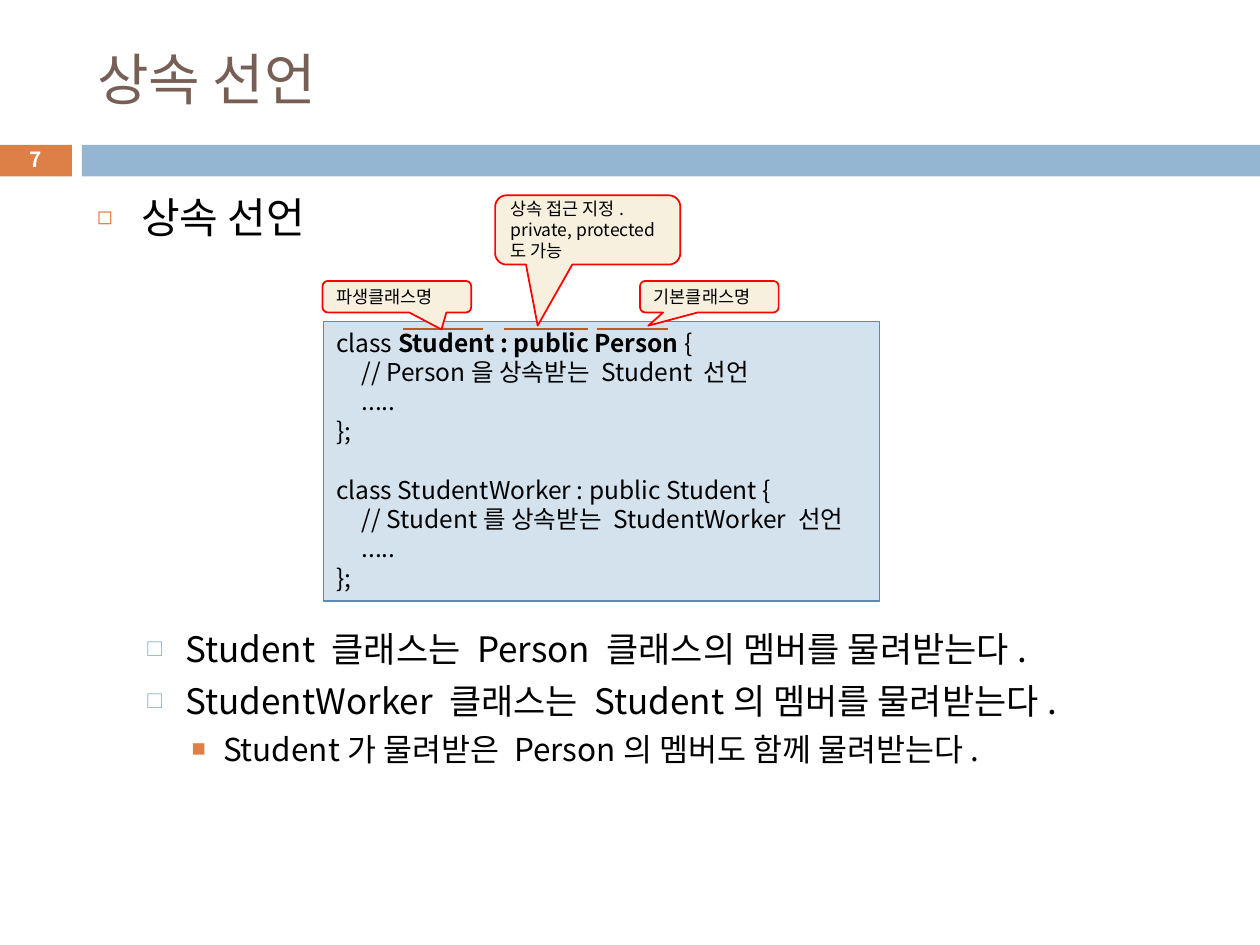
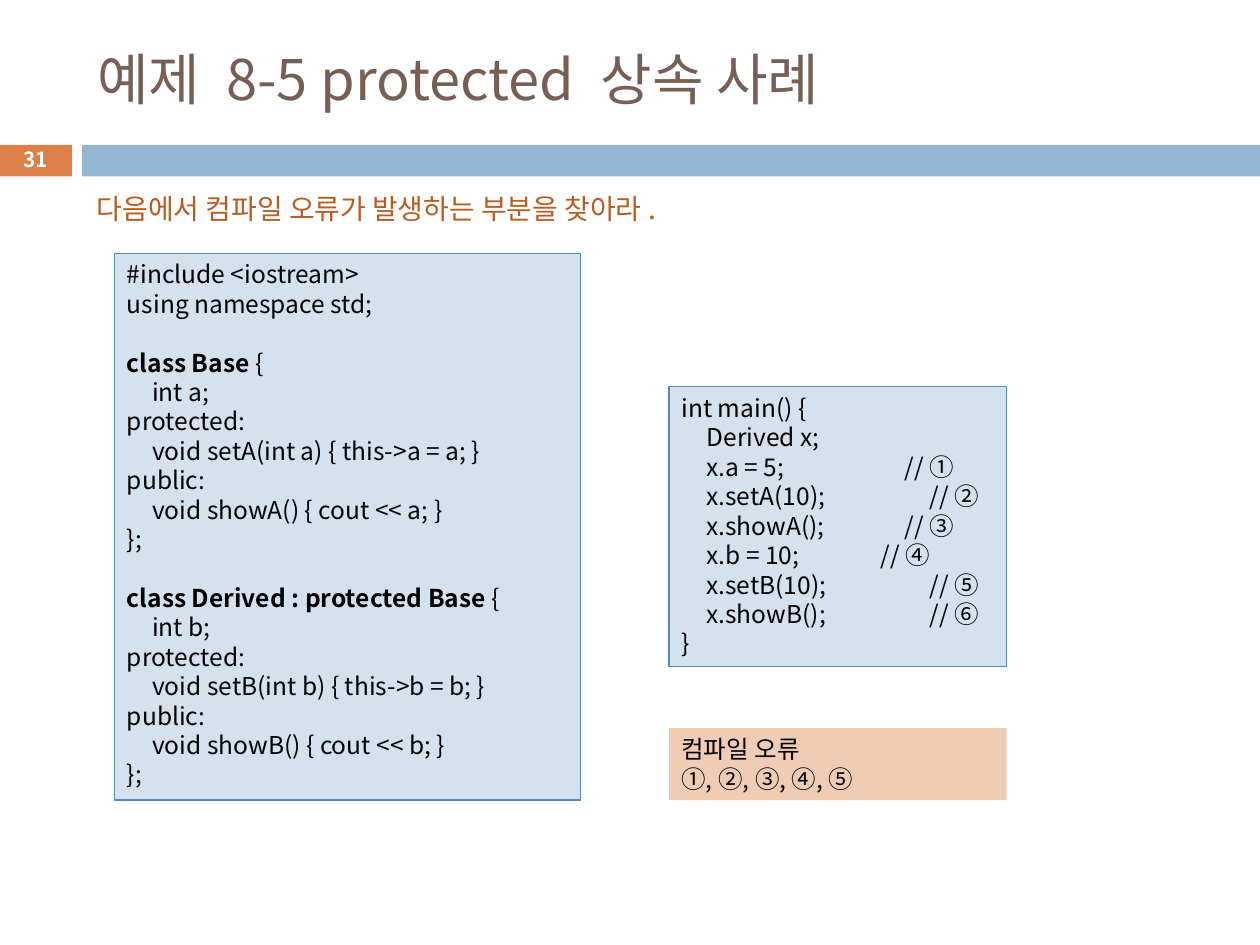
"""Build two C++ inheritance lecture slides."""
from lxml import etree
from pptx import Presentation
from pptx.dml.color import RGBColor
from pptx.enum import shapes, text
from pptx.oxml import ns
from pptx.util import Inches, Pt

FONT = "Noto Sans CJK KR"
ORANGE = RGBColor(0xDD, 0x80, 0x47)
BLUE = RGBColor(0x94, 0xB6, 0xD2)
BROWN = RGBColor(0x77, 0x5F, 0x55)
RUST = RGBColor(0xB9, 0x5B, 0x22)
CODE_FILL = RGBColor(0xD4, 0xE2, 0xED)
CODE_LINE = RGBColor(0x55, 0x8B, 0xB8)
CALLOUT_FILL = RGBColor(0xF7, 0xF0, 0xDE)
ANSWER_FILL = RGBColor(0xF1, 0xCC, 0xB5)
RED = RGBColor(0xFF, 0x00, 0x00)
WHITE = RGBColor(0xFF, 0xFF, 0xFF)
BLACK = RGBColor(0x00, 0x00, 0x00)

LEADING = 1.2
CODE_SIZE = 14
CODE_INDENT = 0.2
BULLETS = [
    {"size": 24, "left": 0.35, "hang": 0.35, "before": 7,
     "mark": "◻", "color": ORANGE, "percent": 60},
    {"size": 20, "left": 0.7, "hang": 0.3, "before": 5.5,
     "mark": "□", "color": BLUE, "percent": 70},
    {"size": 18, "left": 1, "hang": 0.25, "before": 5,
     "mark": "■", "color": ORANGE, "percent": 75},
]

INHERITANCE_CODE = [
    "class |Student : public Person |{",
    "\t// Person을 상속받는 Student 선언",
    "\t.....",
    "};",
    "",
    "class StudentWorker : public Student {",
    "\t// Student를 상속받는 StudentWorker 선언",
    "\t.....",
    "};",
]
CLASSES_CODE = [
    "#include <iostream>",
    "using namespace std;",
    "",
    "|class Base |{",
    "\tint a;",
    "protected:",
    "\tvoid setA(int a) { this->a = a; }",
    "public:",
    "\tvoid showA() { cout << a; }",
    "};",
    "",
    "|class Derived : protected Base |{",
    "\tint b;",
    "protected:",
    "\tvoid setB(int b) { this->b = b; }",
    "public:",
    "\tvoid showB() { cout << b; }",
    "};",
]
MAIN_CODE = [
    "int main() {",
    "\tDerived x;",
    "\tx.a = 5;\t// ①",
    "\tx.setA(10);\t// ②",
    "\tx.showA();\t// ③",
    "\tx.b = 10;\t// ④",
    "\tx.setB(10);\t// ⑤",
    "\tx.showB();\t// ⑥",
    "}",
]
COMMENT_STOPS = {2: 1.77, 3: 1.97, 4: 1.77, 5: 1.58, 6: 1.97, 7: 1.97}


def place(item, left, top, width, height):
    """Move and size a placeholder."""
    item.left, item.top = Inches(left), Inches(top)
    item.width, item.height = Inches(width), Inches(height)


def add_run(paragraph, words, size, color=BLACK, bold=False):
    """Append one run in the deck font."""
    run = paragraph.add_run()
    run.text = words
    run.font.size = Pt(size)
    run.font.bold = bold
    run.font.color.rgb = color
    run.font.name = FONT
    etree.SubElement(run.font._element, ns.qn("a:ea"), typeface=FONT)


def add_paragraph(frame, size, before=0, align=text.PP_ALIGN.LEFT):
    """Return the next free paragraph with the deck's line spacing."""
    paragraph = frame.paragraphs[0]
    if paragraph.runs:
        paragraph = frame.add_paragraph()
    paragraph.alignment = align
    paragraph.line_spacing = Pt(size * LEADING)
    paragraph.space_before = Pt(before)
    return paragraph


def set_frame(frame, anchor=text.MSO_ANCHOR.TOP, wrap=True):
    """Fix anchoring and wrapping of a text frame."""
    frame.auto_size = text.MSO_AUTO_SIZE.NONE
    frame.vertical_anchor = anchor
    frame.word_wrap = wrap
    return frame


def add_panel(slide, box, fill, line=None, weight=0.75,
              kind=shapes.MSO_SHAPE.RECTANGLE):
    """Add a flat filled shape."""
    panel = slide.shapes.add_shape(kind, *map(Inches, box))
    panel.shadow.inherit = False
    panel.fill.solid()
    panel.fill.fore_color.rgb = fill
    if line is None:
        panel.line.fill.background()
    else:
        panel.line.color.rgb = line
        panel.line.width = Pt(weight)
    return panel


def add_label(slide, box, words, size, color, wrap=True, bold=False,
              align=text.PP_ALIGN.LEFT, anchor=text.MSO_ANCHOR.TOP):
    """Add a one-paragraph text box."""
    label = slide.shapes.add_textbox(*map(Inches, box))
    frame = set_frame(label.text_frame, anchor, wrap)
    add_run(add_paragraph(frame, size, align=align), words, size, color, bold)


def add_tab_stops(paragraph, stops):
    """Set left tab stops, given in inches."""
    tabs = etree.SubElement(paragraph._p.get_or_add_pPr(), ns.qn("a:tabLst"))
    for stop in stops:
        etree.SubElement(tabs, ns.qn("a:tab"), pos=str(Inches(stop)), algn="l")


def add_code(slide, box, lines, comment_stops=None):
    """Add a code panel; bars toggle bold, an empty line becomes a gap."""
    comment_stops = comment_stops or {}
    panel = add_panel(slide, box, CODE_FILL, CODE_LINE)
    frame = set_frame(panel.text_frame)
    gap = 0
    for index, line in enumerate(lines):
        if not line:
            gap = CODE_SIZE * LEADING
            continue
        paragraph = add_paragraph(frame, CODE_SIZE, gap)
        gap = 0
        stops = [CODE_INDENT]
        if index in comment_stops:
            stops.append(comment_stops[index])
        add_tab_stops(paragraph, stops)
        for part, words in enumerate(line.split("|")):
            if words:
                add_run(paragraph, words, CODE_SIZE, bold=part % 2 == 1)


def add_callout(slide, box, pointer, lines):
    """Add a rounded callout whose tip is set by two adjustments."""
    callout = add_panel(slide, box, CALLOUT_FILL, RED, 1,
                        shapes.MSO_SHAPE.ROUNDED_RECTANGULAR_CALLOUT)
    for index, value in enumerate(pointer):
        callout.adjustments[index] = value
    frame = set_frame(callout.text_frame, text.MSO_ANCHOR.MIDDLE)
    for line in lines:
        add_run(add_paragraph(frame, 10), line, 10)


def add_marker(slide, start, end, top):
    """Add a horizontal marker line above a code word."""
    marker = slide.shapes.add_connector(
        shapes.MSO_CONNECTOR.STRAIGHT,
        Inches(start), Inches(top), Inches(end), Inches(top))
    marker.line.color.rgb = RUST
    marker.line.width = Pt(1.5)
    etree.SubElement(marker._element.spPr, ns.qn("a:effectLst"))


def add_bullet(frame, level, words, gap=0):
    """Add one list item, with an optional extra gap before it."""
    style = BULLETS[level]
    paragraph = add_paragraph(frame, style["size"], style["before"] + gap)
    paragraph.level = level
    props = paragraph._p.get_or_add_pPr()
    props.set("marL", str(Inches(style["left"])))
    props.set("indent", str(-Inches(style["hang"])))
    color = etree.SubElement(props, ns.qn("a:buClr"))
    etree.SubElement(color, ns.qn("a:srgbClr"), val=str(style["color"]))
    etree.SubElement(props, ns.qn("a:buSzPct"), val=str(style["percent"] * 1000))
    etree.SubElement(props, ns.qn("a:buChar"), char=style["mark"])
    add_run(paragraph, words, style["size"])


def add_slide(deck, layout, heading, number):
    """Add a slide with its title, bands and page number."""
    slide = deck.slides.add_slide(deck.slide_layouts[layout])
    add_panel(slide, (-0.01, 1.15, 0.58, 0.25), ORANGE)
    add_panel(slide, (0.65, 1.15, 9.35, 0.25), BLUE)
    title = slide.shapes.title
    place(title, 0.67, 0.25, 8.92, 0.74)
    frame = set_frame(title.text_frame, text.MSO_ANCHOR.MIDDLE)
    add_run(add_paragraph(frame, 32), heading, 32, BROWN)
    add_label(slide, (-0.01, 1.13, 0.58, 0.27), number, 11.9, WHITE, bold=True,
              align=text.PP_ALIGN.CENTER, anchor=text.MSO_ANCHOR.MIDDLE)
    return slide


def build_declaration(deck):
    """Build the slide on declaring inheritance."""
    slide = add_slide(deck, 1, "상속 선언", "7")
    body = slide.placeholders[1]
    place(body, 0.67, 1.47, 8.92, 5.43)
    frame = set_frame(body.text_frame)
    add_bullet(frame, 0, "상속 선언")
    add_bullet(frame, 1, "Student 클래스는 Person 클래스의 멤버를 물려받는다.", gap=214.8)
    add_bullet(frame, 1, "StudentWorker 클래스는 Student의 멤버를 물려받는다.")
    add_bullet(frame, 2, "Student가 물려받은 Person의 멤버도 함께 물려받는다.")

    add_code(slide, (2.57, 2.55, 4.41, 2.22), INHERITANCE_CODE)
    for start, end in ((3.2, 3.83), (4, 4.67), (4.74, 5.3)):
        add_marker(slide, start, end, 2.61)
    add_callout(slide, (2.56, 2.23, 1.18, 0.25), (0.3, 1.04), ["파생클래스명"])
    add_callout(slide, (3.93, 1.55, 1.47, 0.55), (-0.27, 1.38),
                ["상속 접근 지정.", "private, protected도 가능"])
    add_callout(slide, (5.08, 2.23, 1.1, 0.25), (-0.44, 0.92), ["기본클래스명"])


def build_example(deck):
    """Build the slide with the protected inheritance exercise."""
    slide = add_slide(deck, 5, "예제 8-5 protected 상속 사례", "31")
    add_code(slide, (0.91, 2.01, 3.7, 4.34), CLASSES_CODE)
    add_code(slide, (5.31, 3.07, 2.68, 2.22), MAIN_CODE, COMMENT_STOPS)
    add_label(slide, (0.67, 1.47, 5.13, 0.37),
              "다음에서 컴파일 오류가 발생하는 부분을 찾아라.", 16, RUST, wrap=False)
    answer = add_panel(slide, (5.31, 5.78, 2.68, 0.57), ANSWER_FILL)
    frame = set_frame(answer.text_frame)
    for line in ("컴파일 오류", "①, ②, ③, ④, ⑤"):
        add_run(add_paragraph(frame, CODE_SIZE), line, CODE_SIZE)


def main():
    """Build and save the deck."""
    deck = Presentation()
    deck.slide_width, deck.slide_height = Inches(10), Inches(7.5)
    build_declaration(deck)
    build_example(deck)
    deck.save("out.pptx")


if __name__ == "__main__":
    main()
